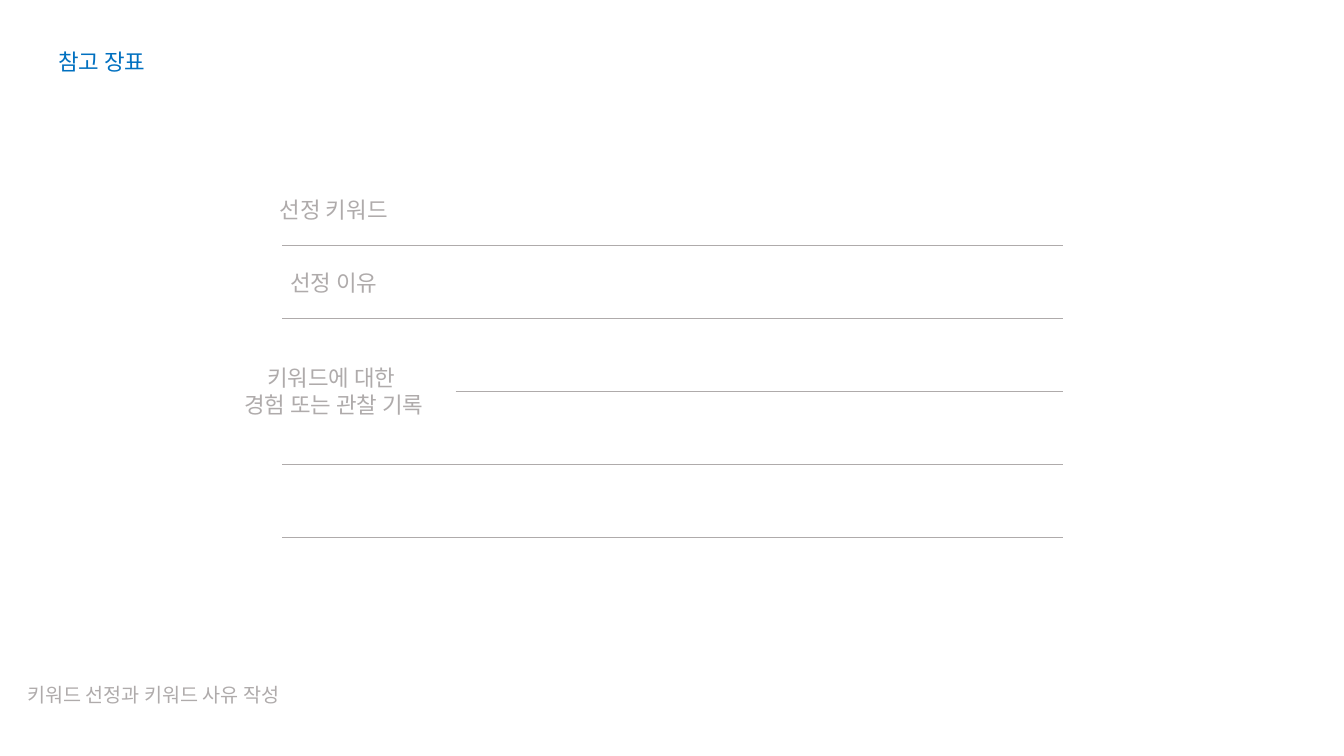
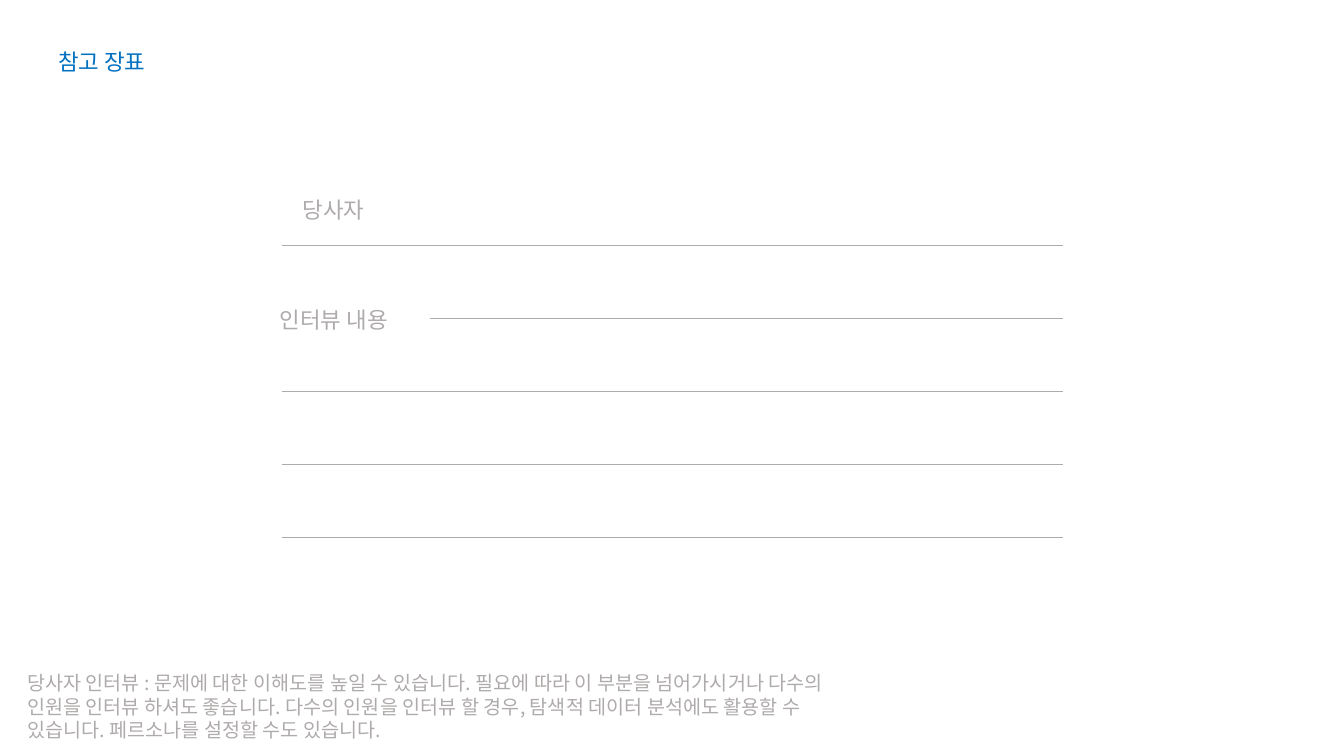
from lxml.etree import SubElement
from pptx import Presentation
from pptx.dml.color import RGBColor
from pptx.enum.shapes import MSO_CONNECTOR
from pptx.enum.text import MSO_ANCHOR, MSO_AUTO_SIZE, PP_ALIGN
from pptx.oxml.ns import qn
from pptx.util import Inches, Pt

GRAY = RGBColor(0xAF, 0xAB, 0xAB)
BLUE = RGBColor(0x00, 0x70, 0xC0)
FONT = "Noto Sans CJK KR"
TITLE = "참고 장표"

# Ruled form, in inches
FIRST_RULE, ROW = 2.43, 0.725
RULE_COUNT = 5
RULE_LEFT, RULE_RIGHT = 2.8, 10.54
LABEL_CENTER, LABEL_WIDTH = 3.31, 1.68
MARGIN = 0.17

LABEL_FORMAT = {"size": Pt(16), "color": GRAY, "align": PP_ALIGN.CENTER}
TITLE_FORMAT = LABEL_FORMAT | {"color": BLUE}
NOTE_FORMAT = {"size": Pt(14), "color": GRAY, "align": PP_ALIGN.LEFT}

# Labels are (text, row, width); a whole row is centred on its rule.
# Short rules map a rule's number to its left end.
FORMS = [
    {
        "labels": [
            ("선정 키워드", -0.48, LABEL_WIDTH),
            ("선정 이유", 0.52, LABEL_WIDTH),
            ("키워드에 대한 \n경험 또는 관찰 기록", 2, 2.41),
        ],
        "short_rules": {2: 4.52},
        "note": "키워드 선정과 키워드 사유 작성",
        "note_box": (MARGIN, 6.73, 8.25, 0.34),
    },
    {
        "labels": [
            ("당사자", -0.48, LABEL_WIDTH),
            ("인터뷰 내용", 1.02, LABEL_WIDTH),
        ],
        "short_rules": {1: 4.27},
        "note": "당사자 인터뷰 : 문제에 대한 이해도를 높일 수 있습니다. "
                "필요에 따라 이 부분을 넘어가시거나 다수의 인원을 인터뷰 하셔도 좋습니다. "
                "다수의 인원을 인터뷰 할 경우, 탐색적 데이터 분석에도 활용할 수 있습니다. "
                "페르소나를 설정할 수도 있습니다.",
        "note_box": (MARGIN, 6.61, 8.25, 0.81),
    },
]


def rule_y(row):
    return FIRST_RULE + row * ROW


def write_text(shape, text, style):
    frame = shape.text_frame
    frame.text = text
    settings = {
        "word_wrap": True,
        "auto_size": MSO_AUTO_SIZE.SHAPE_TO_FIT_TEXT,
        "vertical_anchor": MSO_ANCHOR.TOP,
    }
    for name, value in settings.items():
        setattr(frame, name, value)
    for paragraph in frame.paragraphs:
        paragraph.alignment = style["align"]
        for run in paragraph.runs:
            run.font.size = style["size"]
            run.font.color.rgb = style["color"]
            run.font.name = FONT
            east_asian = SubElement(run.font._element, qn("a:ea"))
            east_asian.set("typeface", FONT)


def set_title(slide):
    title = slide.shapes.title
    box = {"left": MARGIN, "top": 0.43, "width": LABEL_WIDTH, "height": 0.37}
    for name, value in box.items():
        setattr(title, name, Inches(value))
    write_text(title, TITLE, TITLE_FORMAT)


def add_text(slide, text, box, style):
    shape = slide.shapes.add_textbox(*map(Inches, box))
    write_text(shape, text, style)


def add_label(slide, text, row, width):
    height = 0.37 + 0.27 * text.count("\n")
    box = (LABEL_CENTER - width / 2, rule_y(row) - height / 2, width, height)
    add_text(slide, text, box, LABEL_FORMAT)


def add_rule(slide, row, left):
    y = Inches(rule_y(row))
    rule = slide.shapes.add_connector(
        MSO_CONNECTOR.STRAIGHT, Inches(left), y, Inches(RULE_RIGHT), y)
    rule.line.color.rgb = GRAY
    rule.line.width = Pt(0.5)
    SubElement(rule._element.spPr, qn("a:effectLst"))


def add_form(presentation, form):
    slide = presentation.slides.add_slide(presentation.slide_layouts[5])
    set_title(slide)
    add_text(slide, form["note"], form["note_box"], NOTE_FORMAT)
    for label in form["labels"]:
        add_label(slide, *label)
    for row in range(RULE_COUNT):
        add_rule(slide, row, form["short_rules"].get(row, RULE_LEFT))


def main():
    presentation = Presentation()
    presentation.slide_width = Inches(13.33)
    presentation.slide_height = Inches(7.5)
    for form in FORMS:
        add_form(presentation, form)
    presentation.save("out.pptx")


if __name__ == "__main__":
    main()
